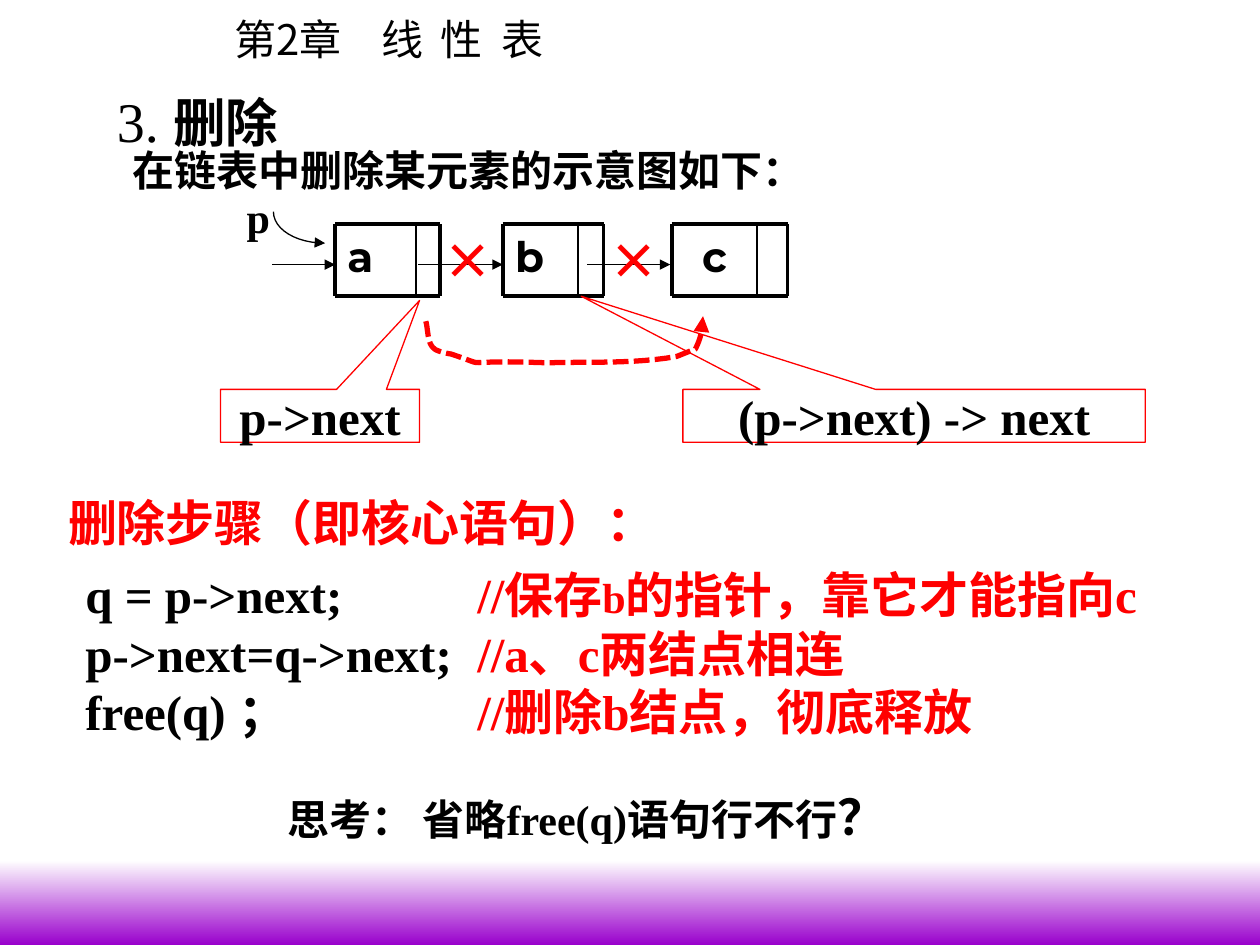
from dataclasses import dataclass
from typing import NamedTuple

from lxml import etree
from pptx import Presentation
from pptx.dml.color import RGBColor
from pptx.enum.dml import MSO_LINE
from pptx.enum.shapes import MSO_CONNECTOR, MSO_SHAPE
from pptx.enum.text import MSO_ANCHOR, PP_ALIGN
from pptx.oxml.ns import qn
from pptx.util import Inches, Pt

LEFT, MID = PP_ALIGN.LEFT, PP_ALIGN.CENTER
TOP, HALF = MSO_ANCHOR.TOP, MSO_ANCHOR.MIDDLE
STRAIGHT = MSO_CONNECTOR.STRAIGHT
RECT, CALL = MSO_SHAPE.RECTANGLE, MSO_SHAPE.RECTANGULAR_CALLOUT
DOTS = MSO_LINE.SQUARE_DOT

COLS, ROWS = 100, 75
WIDTH, HEIGHT = Inches(10), Inches(7.5)


@dataclass(frozen=True)
class Theme:
    ink: str = "000000"
    red: str = "FF0000"
    white: str = "FFFFFF"
    violet: str = "9900CC"
    serif: str = "Times New Roman"
    hans: str = "Noto Sans CJK SC"
    geo: str = "Montserrat"
    head: int = 32
    sub: int = 30
    code: int = 28
    body: int = 24
    thin: float = 0.75
    rule: float = 1
    wall: float = 2.25
    dots: float = 3


T = Theme()


class Run(NamedTuple):
    text: str
    size: int = T.code
    face: str = T.serif
    color: str = T.ink
    bold: bool = True


class Box(NamedTuple):
    """A text box in grid units; each line is a tuple of runs."""
    x: float
    y: float
    w: float
    h: float
    lines: tuple
    align: int = LEFT
    anchor: int = TOP
    wrap: bool = True
    tabs: tuple = ()


class Node(NamedTuple):
    name: str
    x: float
    split: float
    end: float
    align: int = LEFT


class Call(NamedTuple):
    text: str
    x: float
    w: float
    tip: tuple


NODE_TOP, NODE_END, LINK_Y = 17.8, 23.5, 21
NODES = (Node("a", 26.6, 33, 34.9), Node("b", 39.9, 45.9, 47.9),
         Node("c", 53.3, 60.1, 62.5, MID))
LINKS = ((21.6, 26.6), (33.2, 39.9), (46.6, 53.2))
CROSSES = (34.2, 47.4)
CALLS = (Call("p->next", 17.5, 15.8, (0.5, -2.18)),
         Call("(p->next) -> next", 54.2, 36.7, (-0.72, -2.26)))

HOOK = ((21.7, 16.8), (21.7, 18.2), (23.5, 19.3), (25.8, 19.3))
DETOUR = ((33.8, 25.5), (34, 26.2), (33.9, 27.3), (34.5, 27.7),
          (34.7, 27.9), (35.7, 28.1), (35.8, 28.1),
          (39.4, 29.3), (35.6, 28.5), (43.4, 28.8),
          (46.8, 28.7), (50.3, 28.9), (53.7, 28.3),
          (54.2, 28.1), (55.2, 27.7), (55.2, 27.7),
          (55.6, 26.9), (55.8, 26.1), (55.8, 25.1))


def note(text: str, **kw) -> Run:
    return Run(text, color=T.red, **kw)


BOXES = (
    Box(17.6, 0.6, 27.4, 5,
        ((Run("第2章\t线\t性\t表", T.body, T.hans, bold=False),),),
        tabs=(11.7, 16.4, 21.2)),
    Box(8.3, 6.5, 35.5, 6,
        ((Run("3. ", T.head, bold=False), Run("删除", T.sub),
          Run(" ", T.head, bold=False)),), anchor=HALF),
    Box(9.5, 11, 55.3, 5,
        ((Run("在链表中删除某元素的示意图如下：", T.body, T.hans),),),
        MID, wrap=False),
    Box(18.6, 14.7, 3.9, 5, ((Run("p", T.body),),)),
    Box(4.4, 38.6, 48.6, 5.7,
        ((note("删除步骤（即核心语句）：", face=T.hans),),), MID, wrap=False),
    Box(5.8, 44.3, 90, 19.7, (
        (Run("q = p->next;\t"), note("//"), note("保存", face=T.hans),
         note("b", size=T.body), note("的指针，靠它才能指向c")),
        (Run("p->next=q->next;\t"), note("//a、c两结点相连")),
        (Run("free(q) ；\t"), note("//删除b结点，彻底释放")),
    ), tabs=(31.1,)),
    Box(17.8, 61.9, 57.5, 5.7,
        ((Run("思考： 省略", T.body, T.hans), Run("free(q)语句", T.body),
          Run("行不行", T.body, T.hans), Run("？", face=T.hans)),), MID),
)


def px(col: float) -> int:
    return round(WIDTH * col / COLS)


def py(row: float) -> int:
    return round(HEIGHT * row / ROWS)


def rgb(color: str) -> RGBColor:
    return RGBColor.from_string(color)


def stroke(shape, color: str, width: float, arrow: bool = False, dash=None) -> None:
    shape.line.color.rgb = rgb(color)
    for key, val in {"width": Pt(width), "dash_style": dash}.items():
        setattr(shape.line, key, val)
    props = shape._element.spPr
    if arrow:
        etree.SubElement(props.find(qn("a:ln")), qn("a:tailEnd"), type="triangle")
    etree.SubElement(props, qn("a:effectLst"))


def write(frame, box: Box) -> None:
    look = {"word_wrap": box.wrap, "vertical_anchor": box.anchor}
    for key, val in look.items():
        setattr(frame, key, val)
    for i, runs in enumerate(box.lines):
        para = frame.add_paragraph() if i else frame.paragraphs[0]
        para.alignment = box.align
        if box.tabs:
            stops = etree.SubElement(para._p.get_or_add_pPr(), qn("a:tabLst"))
            for tab in box.tabs:
                etree.SubElement(stops, qn("a:tab"), pos=str(px(tab)), algn="l")
        for item in runs:
            run = para.add_run()
            run.text = item.text
            run.font.color.rgb = rgb(item.color)
            form = {"size": Pt(item.size), "name": item.face, "bold": item.bold}
            for key, val in form.items():
                setattr(run.font, key, val)
            etree.SubElement(run._r.rPr, qn("a:ea"), typeface=T.hans)


def draw_text(shapes, box: Box) -> None:
    shape = shapes.add_textbox(px(box.x), py(box.y), px(box.w), py(box.h))
    write(shape.text_frame, box)


def draw_line(shapes, x1: float, y1: float, x2: float, y2: float,
              width: float, arrow: bool = False) -> None:
    line = shapes.add_connector(STRAIGHT, px(x1), py(y1), px(x2), py(y2))
    stroke(line, T.ink, width, arrow)


def draw_node(shapes, node: Node) -> None:
    name = Run(node.name, T.body, T.geo)
    draw_text(shapes, Box(node.x, NODE_TOP, node.split - node.x,
                          NODE_END - NODE_TOP, ((name,),), node.align))
    for y in (NODE_TOP, NODE_END):
        draw_line(shapes, node.x, y, node.end, y, T.wall)
    for x, width in ((node.x, T.wall), (node.split, T.rule), (node.end, T.wall)):
        draw_line(shapes, x, NODE_TOP, x, NODE_END, width)


def draw_curve(shapes, knots: tuple, color: str, width: float, dash=None) -> None:
    """Draw chained cubic curves, each in short steps, with an arrowhead."""
    steps, dots = 12, []
    for i in range(0, len(knots) - 1, 3):
        for k in range(1, steps + 1):
            t = k / steps
            share = ((1 - t) ** 3, 3 * t * (1 - t) ** 2, 3 * t * t * (1 - t), t ** 3)
            x, y = (sum(s * p[axis] for s, p in zip(share, knots[i:i + 4]))
                    for axis in (0, 1))
            dots.append((px(x), py(y)))
    pen = shapes.build_freeform(px(knots[0][0]), py(knots[0][1]))
    pen.add_line_segments(dots, close=False)
    shape = pen.convert_to_shape()
    shape.fill.background()
    stroke(shape, color, width, True, dash)


def draw_call(shapes, call: Call) -> None:
    shape = shapes.add_shape(CALL, px(call.x), py(30.9), px(call.w), py(4.2))
    for i, val in enumerate(call.tip):
        shape.adjustments[i] = val
    shape.fill.background()
    stroke(shape, T.red, T.thin)
    write(shape.text_frame, Box(0, 0, 0, 0, ((Run(call.text),),), MID, HALF))


def draw_band(shapes) -> None:
    band = shapes.add_shape(RECT, 0, py(68.3), WIDTH, py(6.7))
    band.shadow.inherit = False
    band.line.fill.background()
    band.fill.gradient()
    band.fill.gradient_angle = 270
    for stop, color in zip(band.fill.gradient_stops, (T.white, T.violet)):
        stop.color.rgb = rgb(color)


def main() -> None:
    deck = Presentation()
    deck.slide_width, deck.slide_height = WIDTH, HEIGHT
    shapes = deck.slides.add_slide(deck.slide_layouts[6]).shapes
    draw_band(shapes)
    for box in BOXES:
        draw_text(shapes, box)
    for node in NODES:
        draw_node(shapes, node)
    for start, end in LINKS:
        draw_line(shapes, start, LINK_Y, end, LINK_Y, T.thin, True)
    draw_curve(shapes, HOOK, T.ink, T.thin)
    for call in CALLS:
        draw_call(shapes, call)
    draw_curve(shapes, DETOUR, T.red, T.dots, DOTS)
    for x in CROSSES:
        draw_text(shapes, Box(x, NODE_TOP, 5, 5.7, ((note("×", face=T.hans),),)))
    deck.save("out.pptx")


if __name__ == "__main__":
    main()
